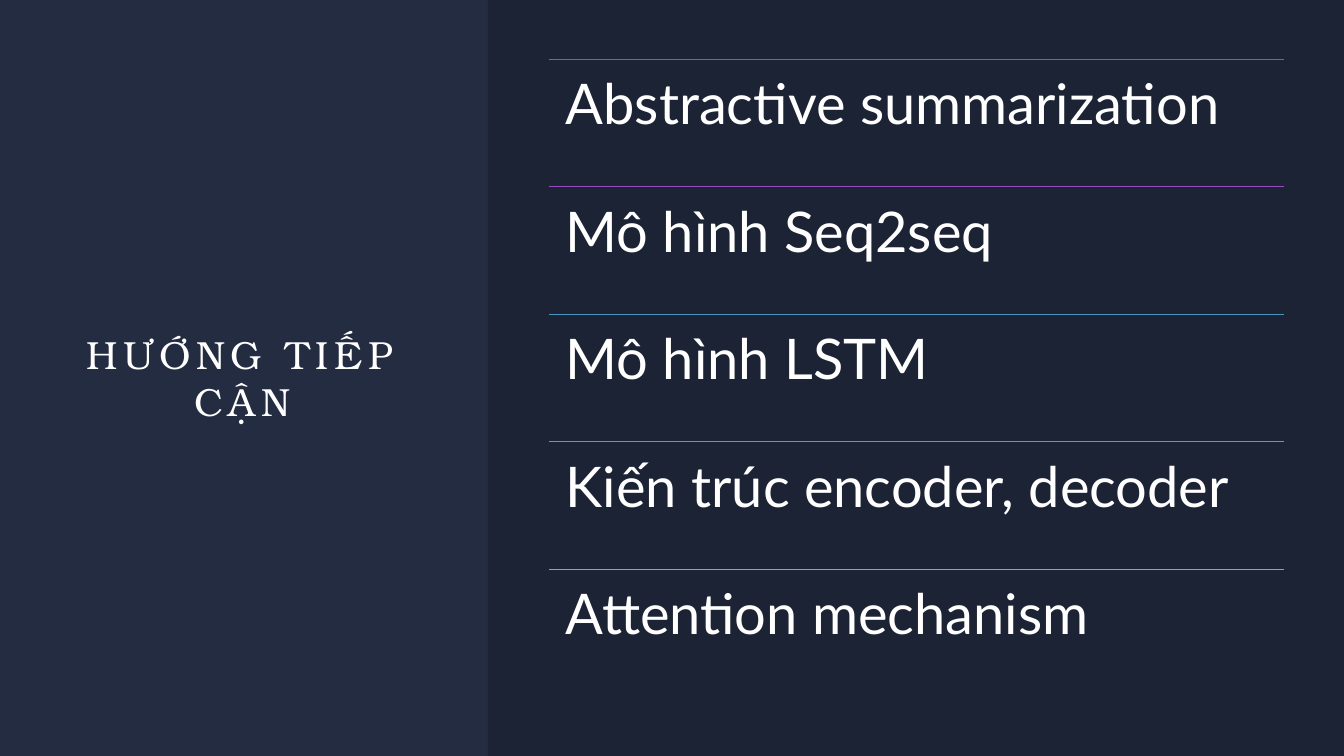
"""Build a slide with a title panel and a ruled list of approaches."""
from dataclasses import dataclass

from lxml.etree import SubElement
from pptx import Presentation
from pptx.dml.color import RGBColor
from pptx.enum.shapes import MSO_CONNECTOR, MSO_SHAPE
from pptx.enum.text import MSO_ANCHOR, MSO_AUTO_SIZE, PP_ALIGN
from pptx.oxml.ns import qn
from pptx.util import Pt


@dataclass(frozen=True)
class Theme:
    """Hold the colours, fonts and type sizes of the deck."""
    background: str = "242C41"
    shade: str = "000000"
    shade_alpha: int = 20
    text: str = "FFFFFF"
    rules: tuple = ("C34D54", "984CC1", "4B96BF", "4ABD51", "BBA149")
    title_font: str = "TeX Gyre Bonum"
    title_size: int = 28
    title_tracking: int = 4
    body_font: str = "Lato"
    body_size: int = 40
    rule_width: float = 0.75


@dataclass(frozen=True)
class Box:
    """Describe a rectangle in points."""
    left: float
    top: float
    width: float
    height: float

    def lengths(self):
        """Return left, top, width and height as lengths."""
        return [Pt(value) for value in (self.left, self.top, self.width, self.height)]


THEME = Theme()
PAGE = Box(0, 0, 960, 540)
TITLE = "HƯỚNG TIẾP CẬN"
APPROACHES = (
    "Abstractive summarization",
    "Mô hình Seq2seq",
    "Mô hình LSTM",
    "Kiến trúc encoder, decoder",
    "Attention mechanism",
)


def apply(target, values):
    """Set each attribute named in values on the target."""
    for name, value in values.items():
        setattr(target, name, value)


def write_text(frame, text, inset, font, size, frame_format, para_format):
    """Fill a text frame with one formatted paragraph and return its span."""
    margins = {f"margin_{side}": Pt(inset) for side in ("left", "top", "right", "bottom")}
    apply(frame, {"word_wrap": True, "auto_size": MSO_AUTO_SIZE.NONE, **margins, **frame_format})
    para = frame.paragraphs[0]
    apply(para, para_format)
    span = para.add_run()
    span.text = text
    apply(span.font, {"name": font, "size": Pt(size), "bold": False})
    span.font.color.rgb = RGBColor.from_string(THEME.text)
    return span


def add_title(page, box):
    """Place the centred, letter-spaced title in its box."""
    title = page.shapes.title
    apply(title, dict(zip(("left", "top", "width", "height"), box.lengths())))
    span = write_text(
        title.text_frame, TITLE, 0, THEME.title_font, THEME.title_size,
        {"vertical_anchor": MSO_ANCHOR.MIDDLE}, {"alignment": PP_ALIGN.CENTER},
    )
    span.font._element.set("spc", str(THEME.title_tracking * 100))


def add_shade(page, box):
    """Darken the given box with a translucent rectangle."""
    shade = page.shapes.add_shape(MSO_SHAPE.RECTANGLE, *box.lengths())
    shade.shadow.inherit = False
    shade.fill.solid()
    shade.fill.fore_color.rgb = RGBColor.from_string(THEME.shade)
    color = shade.fill._xPr.find(qn("a:solidFill"))[0]
    SubElement(color, qn("a:alpha"), val=str(THEME.shade_alpha * 1000))
    shade.line.fill.background()


def add_row(group, box, text, color):
    """Draw a rule along the top of the box and its text beneath."""
    left, top, width, _ = box.lengths()
    rule = group.shapes.add_connector(MSO_CONNECTOR.STRAIGHT, left, top, left + width, top)
    rule.line.color.rgb = RGBColor.from_string(color)
    rule.line.width = Pt(THEME.rule_width)
    SubElement(rule._element.spPr, qn("a:effectLst"))
    label = group.shapes.add_textbox(*box.lengths())
    write_text(
        label.text_frame, text, 12, THEME.body_font, THEME.body_size,
        {"vertical_anchor": MSO_ANCHOR.TOP}, {"line_spacing": 0.9},
    )


def add_approaches(page, box):
    """Divide the box into equal ruled rows, one for each approach."""
    group = page.shapes.add_group_shape()
    height = box.height / len(APPROACHES)
    for index, (text, color) in enumerate(zip(APPROACHES, THEME.rules)):
        row = Box(box.left, box.top + index * height, box.width, height)
        add_row(group, row, text, color)


def add_approach_slide(deck, box):
    """Build the title panel and the shaded list panel in the box."""
    page = deck.slides.add_slide(deck.slide_layouts[5])
    page.background.fill.solid()
    page.background.fill.fore_color.rgb = RGBColor.from_string(THEME.background)
    split = box.left + 348.5
    panel = Box(split, box.top, box.left + box.width - split, box.height)
    add_title(page, Box(box.left + 42.5, box.top + 85, 261.4, 369.4))
    add_shade(page, panel)
    add_approaches(page, Box(panel.left + 43.7, panel.top + 42.5, 525, 455.3))


def main():
    """Create the deck and save it."""
    deck = Presentation()
    apply(deck, {"slide_width": Pt(PAGE.width), "slide_height": Pt(PAGE.height)})
    add_approach_slide(deck, PAGE)
    deck.save("out.pptx")


if __name__ == "__main__":
    main()
